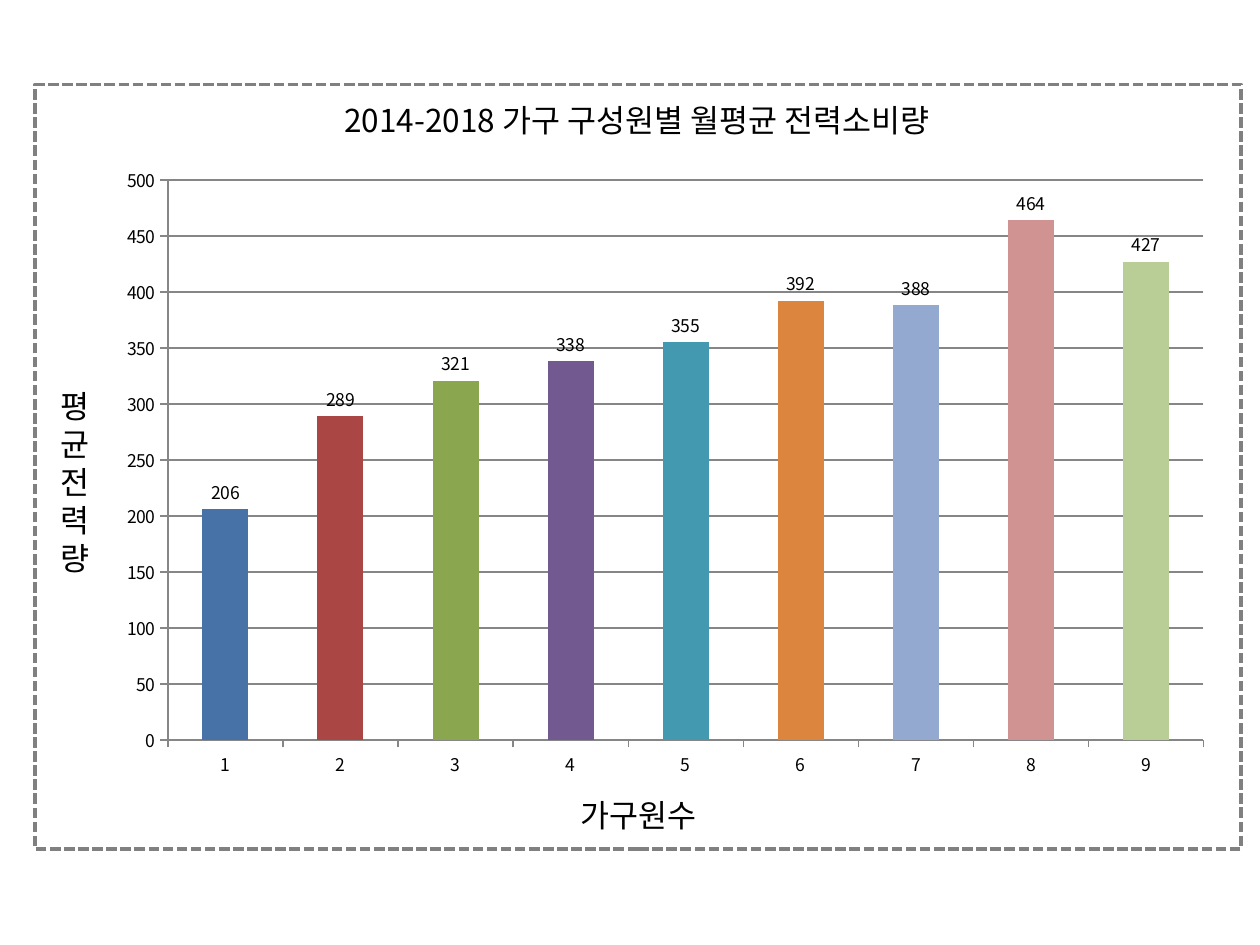
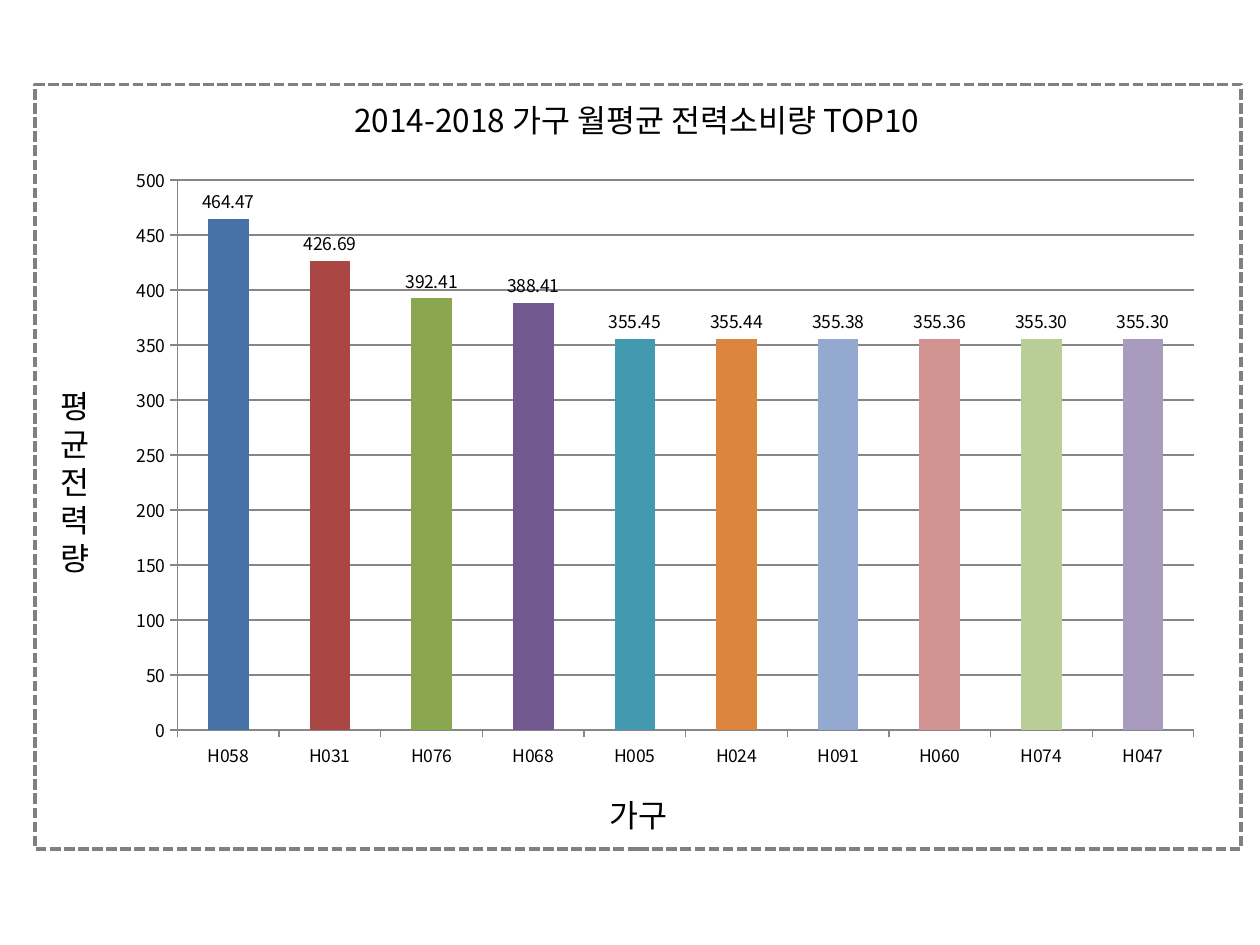
from pptx import Presentation
from pptx.chart.data import CategoryChartData
from pptx.dml.color import RGBColor
from pptx.enum import chart as ch, dml, shapes, text
from pptx.oxml.ns import qn
from pptx.util import Inches, Pt
from lxml import etree

FONT = "Noto Sans CJK KR"
BLACK = RGBColor(0, 0, 0)
GRAY = RGBColor(0x80, 0x80, 0x80)
RULE = RGBColor(0x86, 0x86, 0x86)
BARS = [RGBColor.from_string(c) for c in (
    "4672A8", "AA4643", "8AA64F", "725990", "4299B0",
    "DC853E", "93A9CF", "D09392", "B9CD96", "A99BBD")]

# Boxes are left, top, width, height in inches
FRAME = (0.28, 0.67, 9.57, 6.07)
HEAD = (2.03, 0.68, 6.05, 0.55)
FOOT = (2.04, 6.19, 6.05, 0.55)
SIDE = (0.28, 0.68, 0.63, 6.29)
Y_NAME = "평균전력량"

PAGES = [
    dict(title="2014-2018 가구 구성원별 월평균 전력소비량", x_name="가구원수",
         box=(0.83, 1.23, 8.9, 5.04), form="0",
         data={"1": 206, "2": 289, "3": 321, "4": 338, "5": 355,
               "6": 392, "7": 388, "8": 464, "9": 427}),
    dict(title="2014-2018 가구 월평균 전력소비량 TOP10", x_name="가구",
         box=(0.91, 1.23, 8.74, 4.96), form="0.00",
         data={"H058": 464.47, "H031": 426.69, "H076": 392.41,
               "H068": 388.41, "H005": 355.45, "H024": 355.44,
               "H091": 355.38, "H060": 355.36, "H074": 355.3,
               "H047": 355.3}),
]


def place(box):
    """Turn a box in inches into lengths."""
    return [Inches(v) for v in box]


def style(font, size):
    """Set the shared font and colour."""
    font.name, font.size = FONT, Pt(size)
    font.color.rgb = BLACK


def write(shape, lines):
    """Fill a shape with centred lines of label text."""
    frame = shape.text_frame
    frame.word_wrap = True
    frame.auto_size = text.MSO_AUTO_SIZE.NONE
    frame.vertical_anchor = text.MSO_ANCHOR.MIDDLE
    frame.text = "\n".join(lines)
    for para in frame.paragraphs:
        para.alignment = text.PP_ALIGN.CENTER
        style(para.font, 18)
        props = para._p.pPr.find(qn("a:defRPr"))
        etree.SubElement(props, qn("a:ea")).set("typeface", FONT)


def add_frame(slide):
    """Draw the dashed frame."""
    rect = slide.shapes.add_shape(shapes.MSO_SHAPE.RECTANGLE, *place(FRAME))
    rect.shadow.inherit = False
    rect.fill.background()
    rect.line.color.rgb = GRAY
    rect.line.width = Pt(2)
    rect.line.dash_style = dml.MSO_LINE.SQUARE_DOT


def add_bars(slide, page):
    """Add the column chart with one colour for each bar."""
    data = CategoryChartData()
    data.categories = list(page["data"])
    data.add_series("Series 1", list(page["data"].values()))
    chart = slide.shapes.add_chart(
        ch.XL_CHART_TYPE.COLUMN_CLUSTERED, *place(page["box"]), data).chart
    chart.has_title = chart.has_legend = False
    style(chart.font, 10)

    plot = chart.plots[0]
    plot.gap_width, plot.vary_by_categories = 150, False
    plot.has_data_labels = True
    marks = plot.data_labels
    marks.show_value = True
    marks.number_format, marks.number_format_is_linked = page["form"], False
    marks.position = ch.XL_LABEL_POSITION.OUTSIDE_END
    for i, color in enumerate(BARS[:len(page["data"])]):
        fill = plot.series[0].points[i].format.fill
        fill.solid()
        fill.fore_color.rgb = color

    scale = chart.value_axis
    scale.minimum_scale, scale.maximum_scale, scale.major_unit = 0, 500, 50
    scale.has_major_gridlines = True
    scale.tick_labels.number_format = "0"
    scale.tick_labels.number_format_is_linked = False
    for axis in (scale, chart.category_axis):
        axis.major_tick_mark = ch.XL_TICK_MARK.OUTSIDE
    for part in (scale, chart.category_axis, scale.major_gridlines):
        part.format.line.color.rgb = RULE
        part.format.line.width = Pt(0.75)


def add_page(deck, page):
    """Build one chart slide."""
    slide = deck.slides.add_slide(deck.slide_layouts[5])
    title = slide.shapes.title
    title.left, title.top, title.width, title.height = place(HEAD)
    write(title, [page["title"]])
    add_frame(slide)
    write(slide.shapes.add_textbox(*place(FOOT)), [page["x_name"]])
    write(slide.shapes.add_textbox(*place(SIDE)), Y_NAME)
    add_bars(slide, page)


deck = Presentation()
deck.slide_width, deck.slide_height = Inches(10), Inches(7.5)
for page in PAGES:
    add_page(deck, page)
deck.save("out.pptx")
